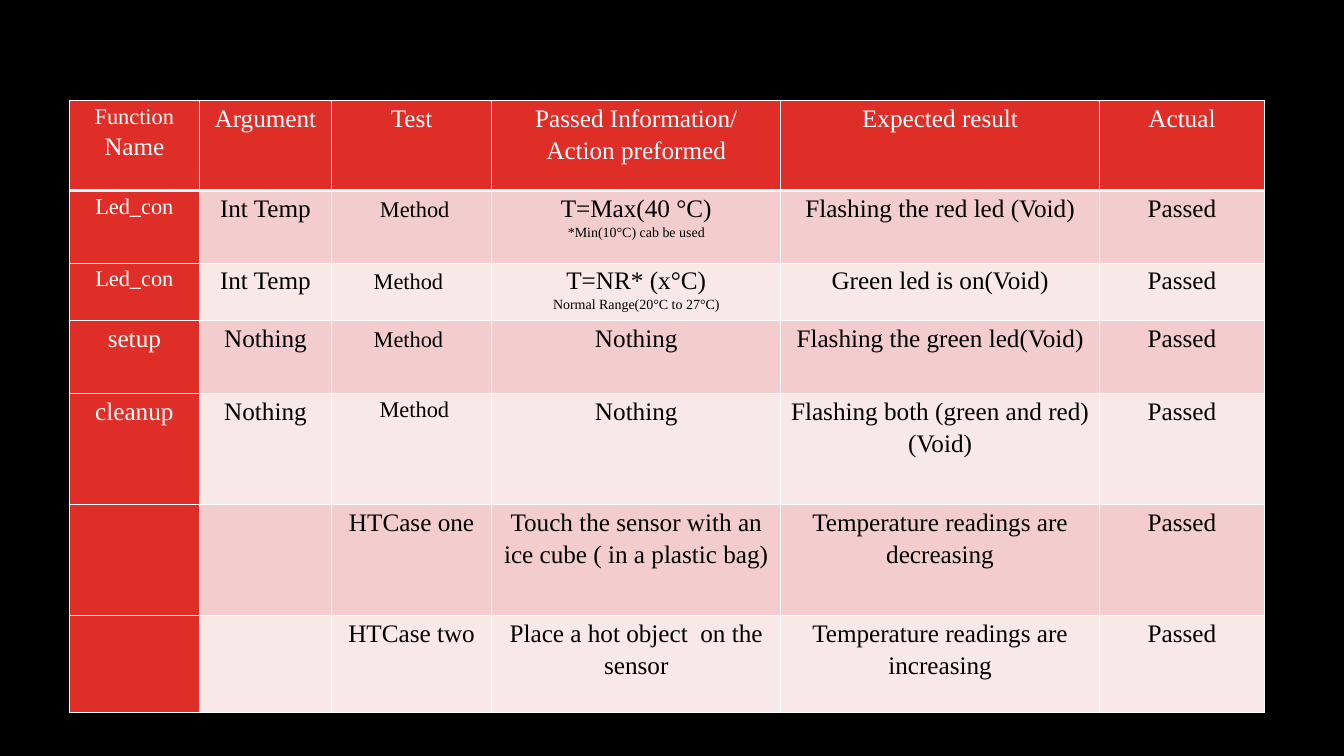
"""Build a slide with a table of function test results."""
from lxml.etree import SubElement
from pptx import Presentation
from pptx.dml.color import RGBColor
from pptx.enum.text import PP_ALIGN
from pptx.oxml.ns import qn
from pptx.util import Pt

COLORS = {"background": "000000", "red": "DF2E28", "odd": "F3CDCD",
          "even": "F9E8E8", "light": "FFFFFF", "dark": "000000"}
COLUMN_WIDTHS = [93, 94.3, 114.5, 206.5, 227.6, 118]
ROW_HEIGHTS = [64.2, 52, 41.2, 52, 79.2, 79.2, 69.6]
RUN_SIZES = {"Function": 16, "Led_con": 16, "Method": 16,
             "*Min(10°C) cab be used": 10, "Normal Range(20°C to 27°C)": 10}
CELL_FORMAT = {"margin_left": Pt(5), "margin_right": Pt(5),
               "margin_top": Pt(0), "margin_bottom": Pt(0)}
PARAGRAPH_FORMAT = {"alignment": PP_ALIGN.CENTER, "line_spacing": 1.15}

# "\n" separates paragraphs, "|" separates runs
ROWS = [
    ["Function\nName", "Argument", "Test", "Passed Information/\nAction preformed",
     "Expected result", "Actual"],
    ["Led_con", "Int Temp", " |Method", "T=Max(40 °C)\n*Min(10°C) cab be used",
     "Flashing the red led (Void)", "Passed"],
    ["Led_con", "Int Temp", "Method| ", "T=NR* (x°C)\nNormal Range(20°C to 27°C)",
     "Green led is on(Void)", "Passed"],
    ["setup", "Nothing", "Method| ", "Nothing", "Flashing the green led(Void)", "Passed"],
    ["cleanup", "Nothing", " Method", "Nothing",
     "Flashing both (green and red)\n(Void)", "Passed"],
    ["", "", "HTCase one", "Touch the sensor with an ice cube ( in a plastic bag)",
     "Temperature readings are decreasing", "Passed"],
    ["", "", "HTCase two", "Place a hot object  on the sensor",
     "Temperature readings are increasing", "Passed"],
]


def add_borders(cell, widths):
    properties = cell._tc.get_or_add_tcPr()
    for side, width in widths.items():
        line = SubElement(properties, qn(f"a:ln{side}"), w=str(Pt(width)))
        fill = SubElement(line, qn("a:solidFill"))
        SubElement(fill, qn("a:srgbClr"), val=COLORS["light"])


def write_text(cell, text, color):
    for index, line in enumerate(text.split("\n")):
        frame = cell.text_frame
        paragraph = frame.add_paragraph() if index else frame.paragraphs[0]
        for name, value in PARAGRAPH_FORMAT.items():
            setattr(paragraph, name, value)
        for part in filter(None, line.split("|")):
            run = paragraph.add_run()
            run.text = part
            run.font.name = "Times New Roman"
            run.font.size = Pt(RUN_SIZES.get(part.strip(), 18))
            run.font.color.rgb = RGBColor.from_string(COLORS[color])


presentation = Presentation()
presentation.slide_width = Pt(960)
presentation.slide_height = Pt(540)
slide = presentation.slides.add_slide(presentation.slide_layouts[6])
slide.background.fill.solid()
slide.background.fill.fore_color.rgb = RGBColor.from_string(COLORS["background"])

table = slide.shapes.add_table(
    len(ROWS), len(COLUMN_WIDTHS), Pt(49.5), Pt(71.8),
    Pt(sum(COLUMN_WIDTHS)), Pt(sum(ROW_HEIGHTS))).table
table.first_row = True
table.first_col = True
for column, width in zip(table.columns, COLUMN_WIDTHS):
    column.width = Pt(width)
for row, height in zip(table.rows, ROW_HEIGHTS):
    row.height = Pt(height)

for row_index, texts in enumerate(ROWS):
    for column_index, text in enumerate(texts):
        cell = table.cell(row_index, column_index)
        heading = row_index == 0 or column_index == 0
        band = "odd" if row_index % 2 else "even"
        for name, value in CELL_FORMAT.items():
            setattr(cell, name, value)
        add_borders(cell, {"L": 1, "R": 1, "T": 1, "B": 1 if row_index else 3})
        cell.fill.solid()
        cell.fill.fore_color.rgb = RGBColor.from_string(COLORS["red" if heading else band])
        write_text(cell, text, "light" if heading else "dark")

presentation.save("out.pptx")
